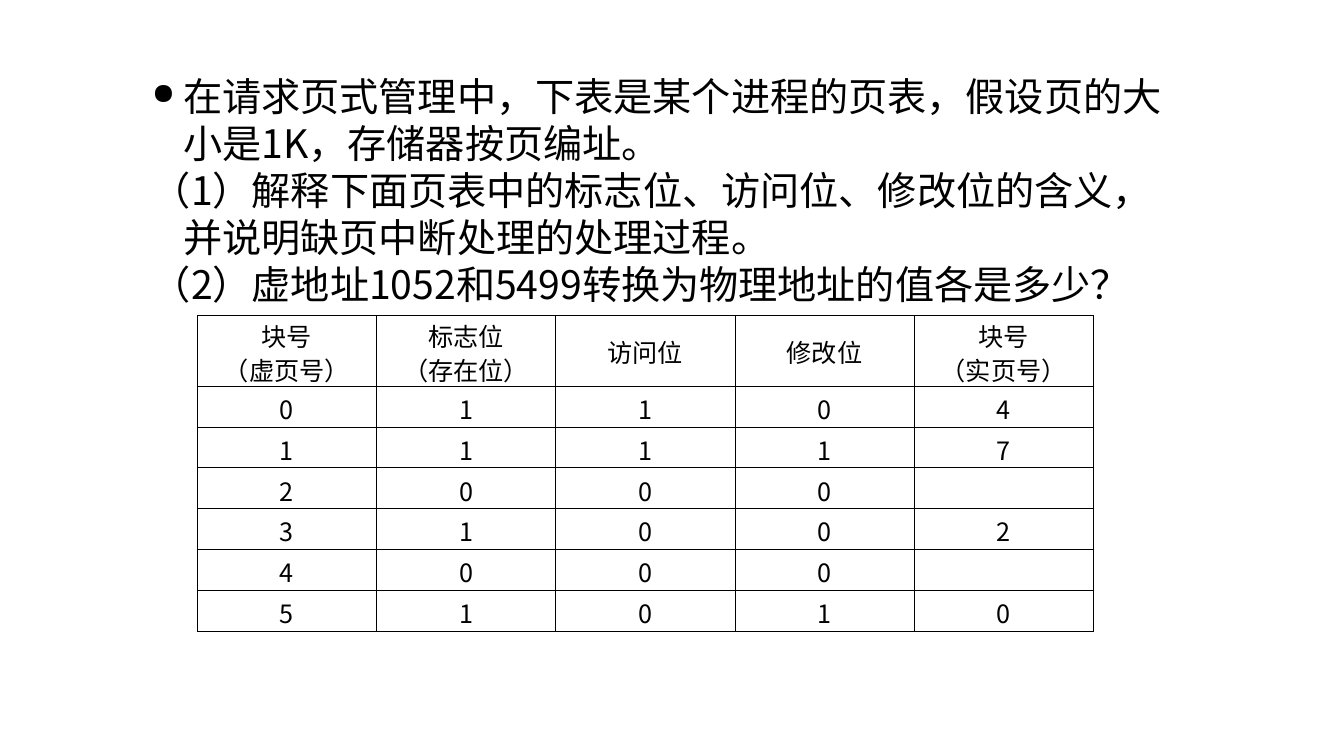
from pptx import Presentation
from pptx import util as u
from pptx.dml.color import RGBColor
from pptx.enum import text
from pptx.oxml import parse_xml
from pptx.oxml.ns import nsdecls

FONT = "Noto Sans CJK SC"
BLACK = "000000"
QUESTION = [
    "在请求页式管理中，下表是某个进程的页表，假设页的大小是1K，存储器按页编址。",
    "（1）解释下面页表中的标志位、访问位、修改位的含义，并说明缺页中断处理的处理过程。",
    "（2）虚地址1052和5499转换为物理地址的值各是多少？",
]
PAGE_TABLE = [
    ["块号\n（虚页号）", "标志位\n（存在位）", "访问位", "修改位", "块号\n（实页号）"],
    ["0", "1", "1", "0", "4"],
    ["1", "1", "1", "1", "7"],
    ["2", "0", "0", "0", ""],
    ["3", "1", "0", "0", "2"],
    ["4", "0", "0", "0", ""],
    ["5", "1", "0", "1", "0"],
]


def color(hex_code):
    """Return the colour for a hex string."""
    return RGBColor.from_string(hex_code)


def write(paragraph, words, size=18, ink=BLACK, align=None, spacing=1.0):
    """Put formatted words into a paragraph."""
    paragraph.alignment = align
    paragraph.line_spacing = spacing
    run = paragraph.add_run()
    run.text = words
    run.font.size = u.Pt(size)
    run.font.name = FONT
    run.font.color.rgb = color(ink)
    run.font._element.append(parse_xml(f'<a:ea {nsdecls("a")} typeface="{FONT}"/>'))


def hang(paragraph, indent, bullet=None):
    """Give a paragraph a hanging indent and, if asked, a bullet."""
    props = paragraph._p.get_or_add_pPr()
    props.set("marL", str(indent))
    props.set("indent", str(-indent))
    if bullet:
        props.append(parse_xml(
            f'<a:buClr {nsdecls("a")}><a:srgbClr val="{BLACK}"/></a:buClr>'))
        props.append(parse_xml(f'<a:buSzPct {nsdecls("a")} val="75000"/>'))
        props.append(parse_xml(f'<a:buChar {nsdecls("a")} char="{bullet}"/>'))


def outline(cell, ink=BLACK, width=0.45):
    """Draw the four borders of a table cell."""
    props = cell._tc.get_or_add_tcPr()
    for side in ("lnL", "lnR", "lnT", "lnB"):
        props.append(parse_xml(
            f'<a:{side} {nsdecls("a")} w="{u.Pt(width)}"><a:solidFill>'
            f'<a:srgbClr val="{ink}"/></a:solidFill></a:{side}>'))


def add_question(slide, left, top, width, height):
    """Place the exercise text in the given box."""
    frame = slide.shapes.add_textbox(left, top, width, height).text_frame
    frame.word_wrap = True
    for i, sentence in enumerate(QUESTION):
        paragraph = frame.add_paragraph() if i else frame.paragraphs[0]
        write(paragraph, sentence, size=28)
        hang(paragraph, u.Cm(0.79), bullet=None if i else "●")


def fill_cell(cell, words, spacing):
    """Write and outline one cell of the page table."""
    outline(cell)
    cell.fill.background()
    cell.margin_top, cell.margin_bottom = u.Cm(0.1), 0
    cell.vertical_anchor = text.MSO_ANCHOR.MIDDLE
    for i, line in enumerate(words.split("\n") if words else []):
        paragraph = cell.text_frame.add_paragraph() if i else cell.text_frame.paragraphs[0]
        write(paragraph, line, align=text.PP_ALIGN.CENTER, spacing=spacing)


def add_page_table(slide, left, top, width, height):
    """Place the page table in the given box."""
    rows, columns = len(PAGE_TABLE), len(PAGE_TABLE[0])
    table = slide.shapes.add_table(rows, columns, left, top, width, height).table
    table.first_row = table.horz_banding = False
    header_height = u.Cm(1.78)
    for r, entries in enumerate(PAGE_TABLE):
        table.rows[r].height = (height - header_height) // (rows - 1) if r else header_height
        for c, words in enumerate(entries):
            fill_cell(table.cell(r, c), words, spacing=1.0 if r else 0.93)


def main():
    """Build the slide and save it."""
    deck = Presentation()
    deck.slide_width, deck.slide_height = u.Cm(33.88), u.Cm(19.05)
    slide = deck.slides.add_slide(deck.slide_layouts[6])
    add_question(slide, u.Cm(3.58), u.Cm(1.7), u.Cm(26.62), u.Cm(6.2))
    add_page_table(slide, u.Cm(4.97), u.Cm(7.95), u.Cm(22.59), u.Cm(7.95))
    deck.save("out.pptx")


if __name__ == "__main__":
    main()
